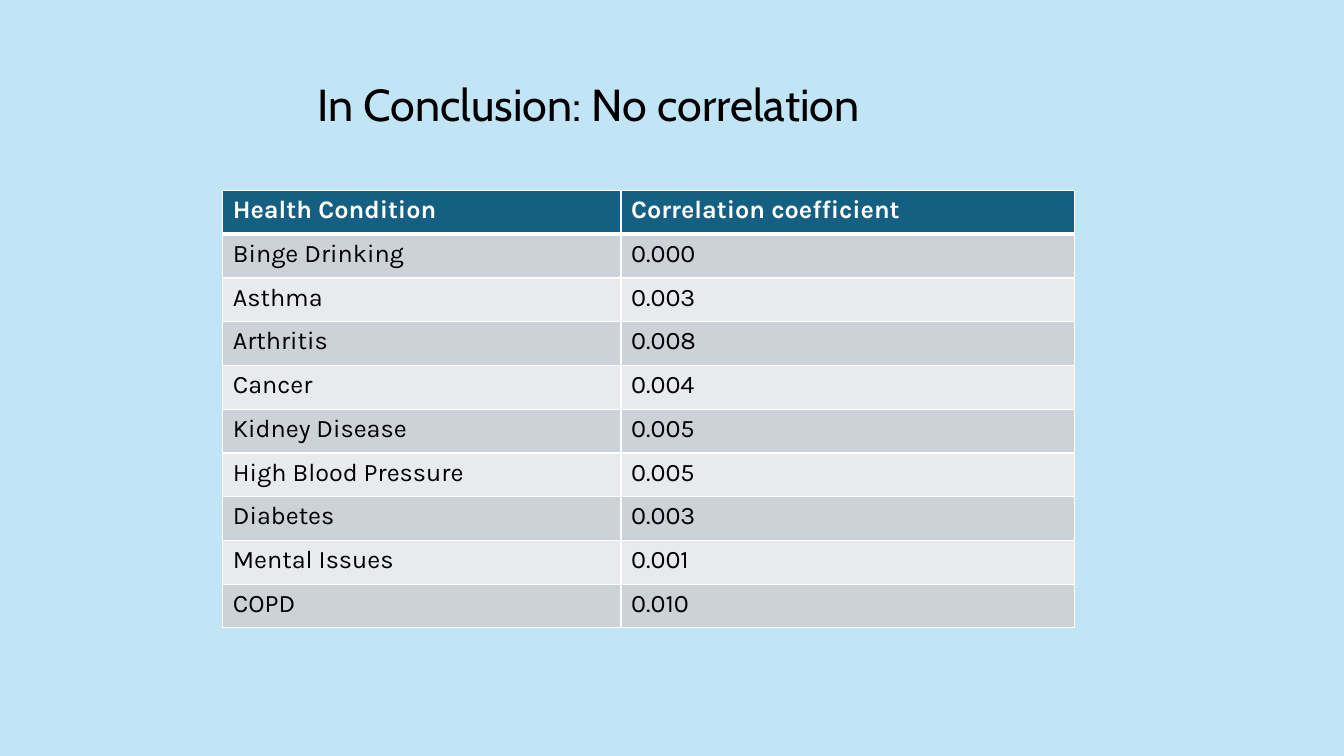
"""Build a slide with a table of health conditions and their correlation coefficients."""
from dataclasses import dataclass

from lxml.etree import SubElement as Sub
from pptx import Presentation
from pptx.dml.color import RGBColor as RGB
from pptx.enum.text import MSO_ANCHOR as Anchor, MSO_AUTO_SIZE as Fit, PP_ALIGN as Align
from pptx.oxml.ns import qn
from pptx.slide import Slide
from pptx.table import _Cell as Cell
from pptx.text.text import TextFrame as Frame
from pptx.util import Inches, Pt


@dataclass(frozen=True)
class Theme:
    back: str = "C1E5F5"
    head: str = "156082"
    bands: tuple[str, str] = ("CCD2D8", "E8EAED")
    ink: str = "000000"
    white: str = "FFFFFF"
    title_font: str = "Cabin"
    cell_font: str = "Karla"
    title_size: int = 32
    cell_size: int = 18
    thin: int = 1
    thick: int = 3


@dataclass(frozen=True)
class Row:
    label: str
    value: str


THEME = Theme()
HEAD = Row("Health Condition", "Correlation coefficient")
ROWS = [
    Row("Binge Drinking", "0.000"),
    Row("Asthma", "0.003"),
    Row("Arthritis", "0.008"),
    Row("Cancer", "0.004"),
    Row("Kidney Disease", "0.005"),
    Row("High Blood Pressure", "0.005"),
    Row("Diabetes", "0.003"),
    Row("Mental Issues", "0.001"),
    Row("COPD", "0.010"),
]
WIDTHS = (3.95, 4.5)
HEIGHT = 4.34


def style(frame: Frame, face: str, size: int, tone: str, bold: bool = False) -> None:
    for run in frame.paragraphs[0].runs:
        font = run.font
        font.name, font.size, font.bold = face, Pt(size), bold
        font.color.rgb = RGB.from_string(tone)


def edge(cell: Cell, side: str, width: int) -> None:
    line = Sub(cell._tc.get_or_add_tcPr(), qn(f"a:ln{side}"), w=str(Pt(width)))
    Sub(Sub(line, qn("a:solidFill")), qn("a:srgbClr"), val=THEME.white)


def draw_cell(cell: Cell, text: str, level: int) -> None:
    top = level == 0
    cell.text_frame.text = text
    style(cell.text_frame, THEME.cell_font, THEME.cell_size,
          THEME.white if top else THEME.ink, top)
    for side in "LRTB":
        thick = (top and side == "B") or (level == 1 and side == "T")
        edge(cell, side, THEME.thick if thick else THEME.thin)
    cell.fill.solid()
    tone = THEME.head if top else THEME.bands[(level - 1) % 2]
    cell.fill.fore_color.rgb = RGB.from_string(tone)


def draw_table(slide: Slide, rows: list[Row]) -> None:
    table = slide.shapes.add_table(
        len(rows), len(WIDTHS), Inches(2.21), Inches(1.89),
        Inches(sum(WIDTHS)), Inches(HEIGHT)).table
    for column, width in zip(table.columns, WIDTHS):
        column.width = Inches(width)
    for level, row in enumerate(rows):
        table.rows[level].height = Inches(HEIGHT / len(rows))
        for spot, text in enumerate((row.label, row.value)):
            draw_cell(table.cell(level, spot), text, level)


def draw_title(slide: Slide, text: str) -> None:
    title = slide.shapes.title
    title.left, title.top = Inches(3.05), Inches(0.71)
    title.width, title.height = Inches(6.3), Inches(0.64)
    frame = title.text_frame
    frame.text = text
    frame.word_wrap = True
    frame.auto_size = Fit.SHAPE_TO_FIT_TEXT
    frame.vertical_anchor = Anchor.TOP
    frame.paragraphs[0].alignment = Align.LEFT
    style(frame, THEME.title_font, THEME.title_size, THEME.ink)


def main() -> None:
    deck = Presentation()
    deck.slide_width, deck.slide_height = Inches(13.33), Inches(7.5)
    slide = deck.slides.add_slide(deck.slide_layouts[5])
    slide.background.fill.solid()
    slide.background.fill.fore_color.rgb = RGB.from_string(THEME.back)
    draw_title(slide, "In Conclusion: No correlation")
    draw_table(slide, [HEAD, *ROWS])
    deck.save("out.pptx")


if __name__ == "__main__":
    main()
